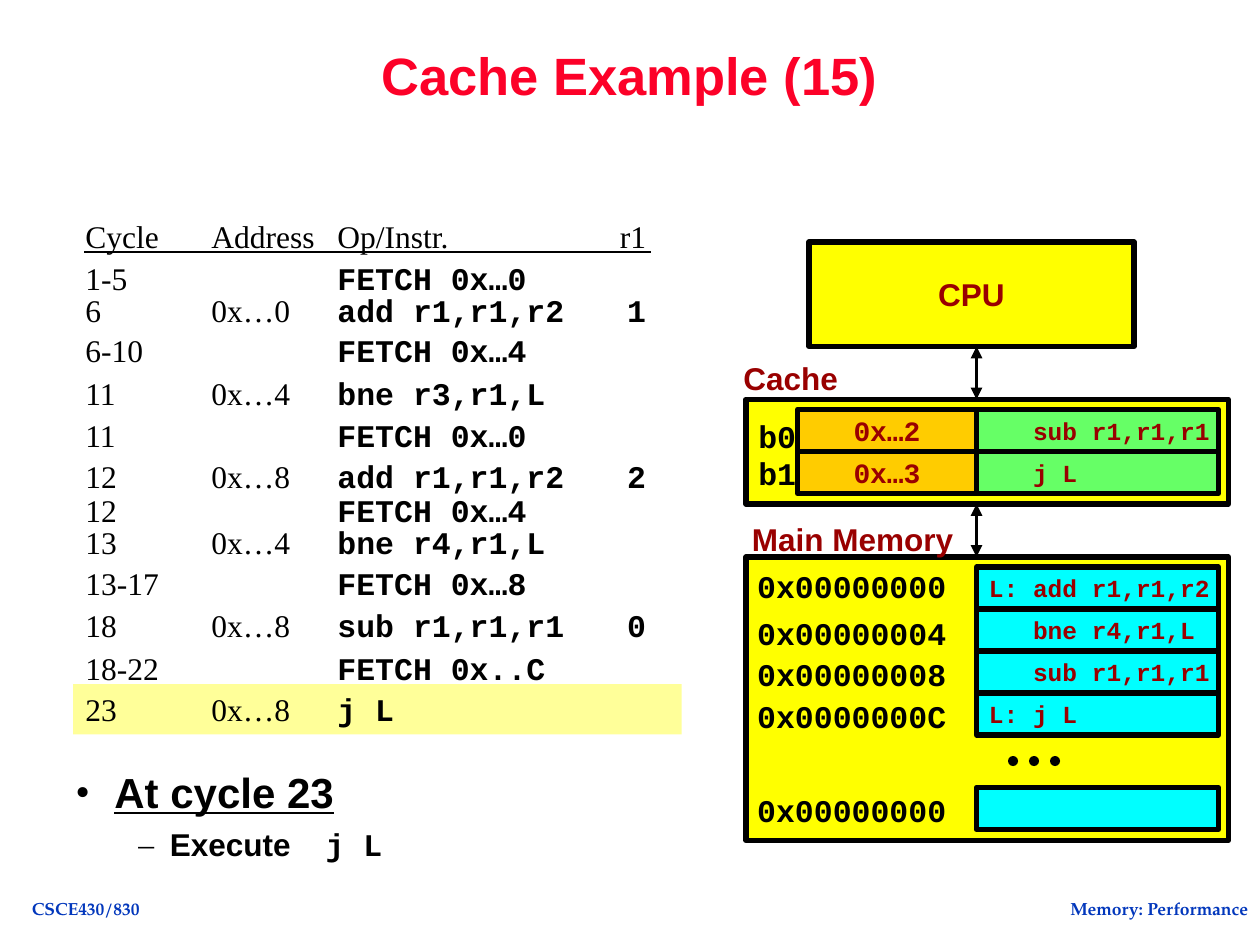
from typing import NamedTuple, Optional

from lxml import etree
from pptx import Presentation
from pptx.dml.color import RGBColor
from pptx.enum.shapes import MSO_CONNECTOR, MSO_SHAPE
from pptx.enum.text import MSO_ANCHOR, MSO_AUTO_SIZE, PP_ALIGN
from pptx.oxml.ns import qn
from pptx.util import Inches, Pt

LEFT, CENTER = PP_ALIGN.LEFT, PP_ALIGN.CENTER
MIDDLE, TOP = MSO_ANCHOR.MIDDLE, MSO_ANCHOR.TOP
RECT, OVAL = MSO_SHAPE.RECTANGLE, MSO_SHAPE.OVAL

BLACK = RGBColor(0x00, 0x00, 0x00)
RED = RGBColor(0xFC, 0x01, 0x28)
DARK_RED = RGBColor(0x99, 0x00, 0x00)
BLUE = RGBColor(0x02, 0x37, 0xBC)
YELLOW = RGBColor(0xFF, 0xFF, 0x00)
PALE_YELLOW = RGBColor(0xFF, 0xFF, 0x99)
CYAN = RGBColor(0x00, 0xFF, 0xFF)
GREEN = RGBColor(0x66, 0xFF, 0x66)
ORANGE = RGBColor(0xFF, 0xCC, 0x00)

SANS, CODE, SERIF = "Arial", "Courier New", "Times New Roman"
FOOTER_FONT = "TeX Gyre Pagella"


class Style(NamedTuple):
    font: str
    size: float
    color: RGBColor = BLACK
    bold: bool = True


class Box(NamedTuple):
    left: float
    top: float
    width: float
    height: float


class Step(NamedTuple):
    top: float
    cycle: str
    address: str
    instruction: str
    r1: str = ""


class CacheBlock(NamedTuple):
    label: str
    label_top: float
    address: str
    instruction: str


TRACE = Style(SERIF, 18, bold=False)
TRACE_CODE = Style(CODE, 18)
LABEL = Style(SANS, 18, DARK_RED)
CELL_CODE = Style(CODE, 14, DARK_RED)
CELL_ADDRESS = Style(CODE, 16, DARK_RED)
FOOTER = Style(FOOTER_FONT, 10, BLUE)

STEPS = [
    Step(2.01, "1-5", "", "FETCH 0x…0"),
    Step(2.26, "6", "0x…0", "add r1,r1,r2", "1"),
    Step(2.58, "6-10", "", "FETCH 0x…4"),
    Step(2.92, "11", "0x…4", "bne r3,r1,L"),
    Step(3.25, "11", "", "FETCH 0x…0"),
    Step(3.58, "12", "0x…8", "add r1,r1,r2", "2"),
    Step(3.85, "12", "", "FETCH 0x…4"),
    Step(4.1, "13", "0x…4", "bne r4,r1,L"),
    Step(4.43, "13-17", "", "FETCH 0x…8"),
    Step(4.76, "18", "0x…8", "sub r1,r1,r1", "0"),
    Step(5.1, "18-22", "", "FETCH 0x..C"),
    Step(5.43, "23", "0x…8", "j L"),
]
CACHE_BLOCKS = [
    CacheBlock("b0", 3.26, "0x…2", "   sub r1,r1,r1"),
    CacheBlock("b1", 3.55, "0x…3", "   j L"),
]
MEMORY_WORDS = ["L: add r1,r1,r2", "   bne r4,r1,L", "   sub r1,r1,r1", "L: j L"]
MEMORY_ADDRESSES = [(4.45, "0x00000000"), (4.82, "0x00000004"), (5.15, "0x00000008"),
                    (5.48, "0x0000000C"), (6.23, "0x00000000")]
ROW_HEIGHT = 1 / 3
WORD_LEFT, WORD_WIDTH = 7.75, 1.92


def add_run(paragraph, text: str, style: Style):
    run = paragraph.add_run()
    run.text = text
    font = run.font
    font.name, font.size, font.bold = style.font, Pt(style.size), style.bold
    font.color.rgb = style.color
    return run


def add_label(slide, box: Box, text: str, style: Style, align=CENTER, anchor=MIDDLE):
    label = slide.shapes.add_textbox(*map(Inches, box))
    frame = label.text_frame
    frame.word_wrap, frame.vertical_anchor = False, anchor
    frame.auto_size = MSO_AUTO_SIZE.SHAPE_TO_FIT_TEXT
    frame.paragraphs[0].alignment = align
    add_run(frame.paragraphs[0], text, style)


def add_block(shapes, box: Box, fill: RGBColor, text: str = "",
              style: Style = CELL_CODE, align=LEFT, kind=RECT, border: float = 3):
    block = shapes.add_shape(kind, *map(Inches, box))
    block.shadow.inherit = False
    block.fill.solid()
    block.fill.fore_color.rgb = fill
    if border:
        block.line.color.rgb, block.line.width = BLACK, Pt(border)
    else:
        block.line.fill.background()
    if text:
        frame = block.text_frame
        frame.word_wrap, frame.vertical_anchor = False, MIDDLE
        frame.paragraphs[0].alignment = align
        add_run(frame.paragraphs[0], text, style)


def add_line(slide, start: tuple, end: tuple, width: float, arrows: bool = False):
    line = slide.shapes.add_connector(MSO_CONNECTOR.STRAIGHT, *map(Inches, start + end))
    line.line.color.rgb, line.line.width = BLACK, Pt(width)
    if arrows:
        outline = line.line._get_or_add_ln()
        for tip in ("a:headEnd", "a:tailEnd"):
            etree.SubElement(outline, qn(tip), type="triangle")
    etree.SubElement(line._element.spPr, qn("a:effectLst"))


def add_trace_row(slide, step: Step, code_style: Style, fill: Optional[RGBColor] = None):
    row = slide.shapes.add_textbox(*map(Inches, (0.58, step.top, 4.83, 0.4)))
    if fill is not None:
        row.fill.solid()
        row.fill.fore_color.rgb = fill
    frame = row.text_frame
    frame.word_wrap, frame.vertical_anchor = True, MIDDLE
    frame.auto_size = MSO_AUTO_SIZE.SHAPE_TO_FIT_TEXT
    paragraph = frame.paragraphs[0]
    tabs = etree.SubElement(paragraph._p.get_or_add_pPr(), qn("a:tabLst"))
    for position, align in ((1, "l"), (2, "l"), (4.45, "r")):
        etree.SubElement(tabs, qn("a:tab"), pos=str(Inches(position)), algn=align)
    add_run(paragraph, f"{step.cycle}\t{step.address}\t", TRACE)
    add_run(paragraph, step.instruction + (f"\t{step.r1}" if step.r1 else ""), code_style)


def format_bullet(paragraph, mark: str, level: int, margin: float, hanging: float):
    paragraph.level, paragraph.line_spacing = level, 0.9
    properties = paragraph._p.get_or_add_pPr()
    properties.set("marL", str(Inches(margin)))
    properties.set("indent", str(-Inches(hanging)))
    color = etree.SubElement(properties, qn("a:buClr"))
    etree.SubElement(color, qn("a:srgbClr"), val=str(BLACK))
    etree.SubElement(properties, qn("a:buFont"), typeface=SERIF)
    etree.SubElement(properties, qn("a:buChar"), char=mark)


def add_explanation(slide):
    notes = slide.shapes.add_textbox(*map(Inches, (0.5, 6.08, 5.33, 0.92))).text_frame
    notes.word_wrap = True
    heading = notes.paragraphs[0]
    format_bullet(heading, "•", 0, 0.31, 0.31)
    add_run(heading, "At cycle 23", Style(SANS, 24)).font.underline = True
    action = notes.add_paragraph()
    action.space_before = Pt(6.8)
    format_bullet(action, "–", 1, 0.75, 0.25)
    add_run(action, "Execute", Style(SANS, 18))
    gap = add_run(action, " ", Style(SANS, 18))
    gap.font._element.set("spc", "1500")  # widen the single space by 15 pt
    add_run(action, "j L", TRACE_CODE)


def main():
    deck = Presentation()
    deck.slide_width, deck.slide_height = Inches(10), Inches(7.5)
    slide = deck.slides.add_slide(deck.slide_layouts[5])

    # Footer and title
    add_label(slide, Box(8.31, 7.08, 1.78, 0.26), "Memory: Performance", FOOTER, anchor=TOP)
    add_label(slide, Box(0.15, 7.08, 1.06, 0.26), "CSCE430/830", FOOTER, anchor=TOP)
    title = slide.shapes.title
    title.left, title.top, title.width, title.height = map(Inches, (1.08, 0, 7.83, 1.25))
    title.text_frame.vertical_anchor = MIDDLE
    title.text_frame.auto_size = MSO_AUTO_SIZE.NONE
    heading = title.text_frame.paragraphs[0]
    heading.alignment, heading.line_spacing = CENTER, 0.9
    add_run(heading, "Cache Example (15)", Style(SANS, 30, RED))

    # Execution trace, current cycle highlighted
    add_trace_row(slide, Step(1.67, "Cycle", "Address", "Op/Instr.", "r1"), TRACE)
    add_line(slide, (0.67, 2), (5.17, 2), 1)
    for step in STEPS:
        add_trace_row(slide, step, TRACE_CODE, PALE_YELLOW if step is STEPS[-1] else None)

    # CPU, cache and main memory
    add_block(slide.shapes, Box(5.92, 3.17, 3.83, 0.83), YELLOW)
    add_block(slide.shapes, Box(6.42, 1.92, 2.58, 0.83), YELLOW, "CPU", LABEL, CENTER)
    add_block(slide.shapes, Box(5.92, 4.42, 3.83, 2.25), YELLOW)
    for top, bottom in ((2.75, 3.17), (4, 4.42)):
        add_line(slide, (WORD_LEFT, top), (WORD_LEFT, bottom), 2.25, arrows=True)
    add_label(slide, Box(5.8, 2.8, 0.95, 0.4), "Cache", LABEL)
    add_label(slide, Box(5.87, 4.08, 1.8, 0.4), "Main Memory", LABEL, LEFT)

    # Memory words and addresses
    for index, word in enumerate(MEMORY_WORDS):
        top = 4.5 + index * ROW_HEIGHT
        add_block(slide.shapes, Box(WORD_LEFT, top, WORD_WIDTH, ROW_HEIGHT), CYAN, word)
    add_block(slide.shapes, Box(WORD_LEFT, 6.25, WORD_WIDTH, ROW_HEIGHT), CYAN)
    for index in range(3):
        add_block(slide.shapes, Box(8 + index / 6, 6, 0.08, 0.08), BLACK, kind=OVAL, border=0)
    for top, address in MEMORY_ADDRESSES:
        add_label(slide, Box(5.91, top, 1.7, 0.4), address, TRACE_CODE)

    add_explanation(slide)

    # Cache blocks
    for index, block in enumerate(CACHE_BLOCKS):
        add_label(slide, Box(5.92, block.label_top, 0.5, 0.4), block.label, TRACE_CODE, LEFT)
        top = 3.25 + index * ROW_HEIGHT
        cells = slide.shapes.add_group_shape().shapes
        add_block(cells, Box(WORD_LEFT, top, WORD_WIDTH, ROW_HEIGHT), GREEN, block.instruction)
        add_block(cells, Box(6.33, top, 1.42, ROW_HEIGHT), ORANGE,
                  block.address, CELL_ADDRESS, CENTER)

    deck.save("out.pptx")


if __name__ == "__main__":
    main()
